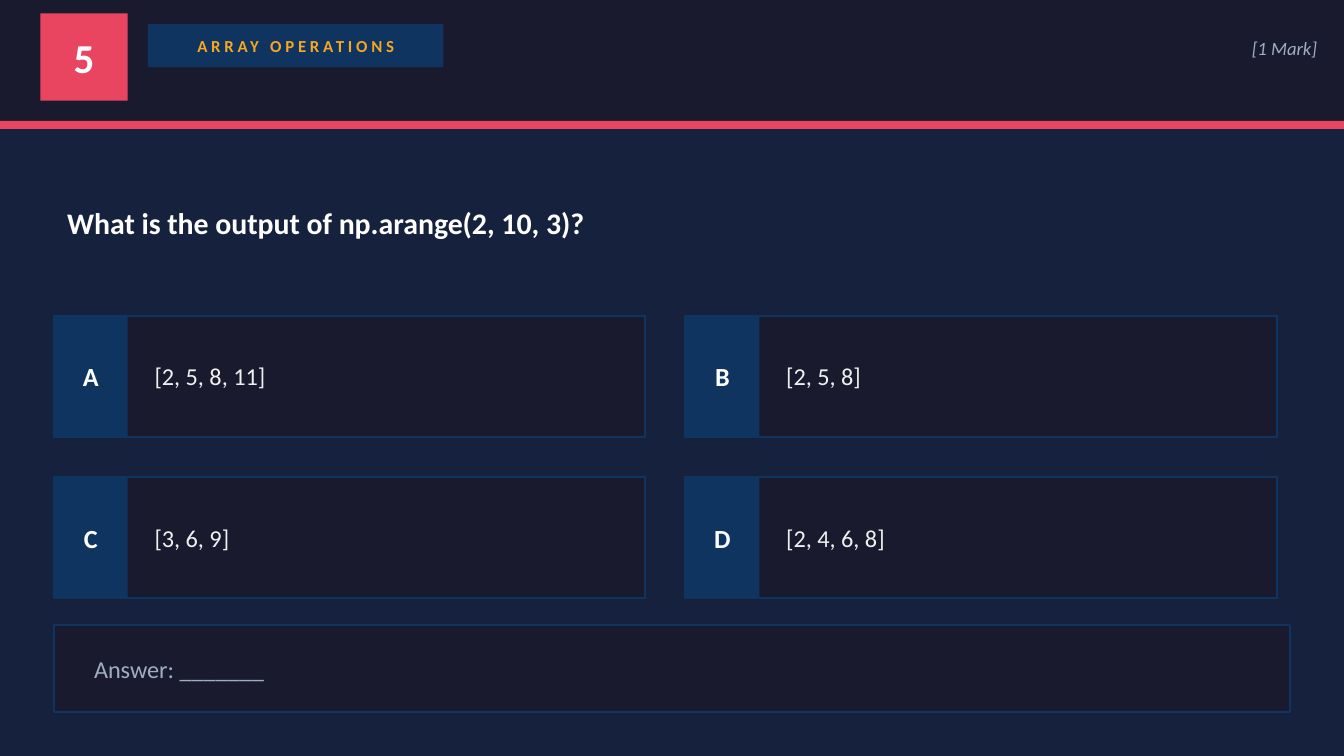
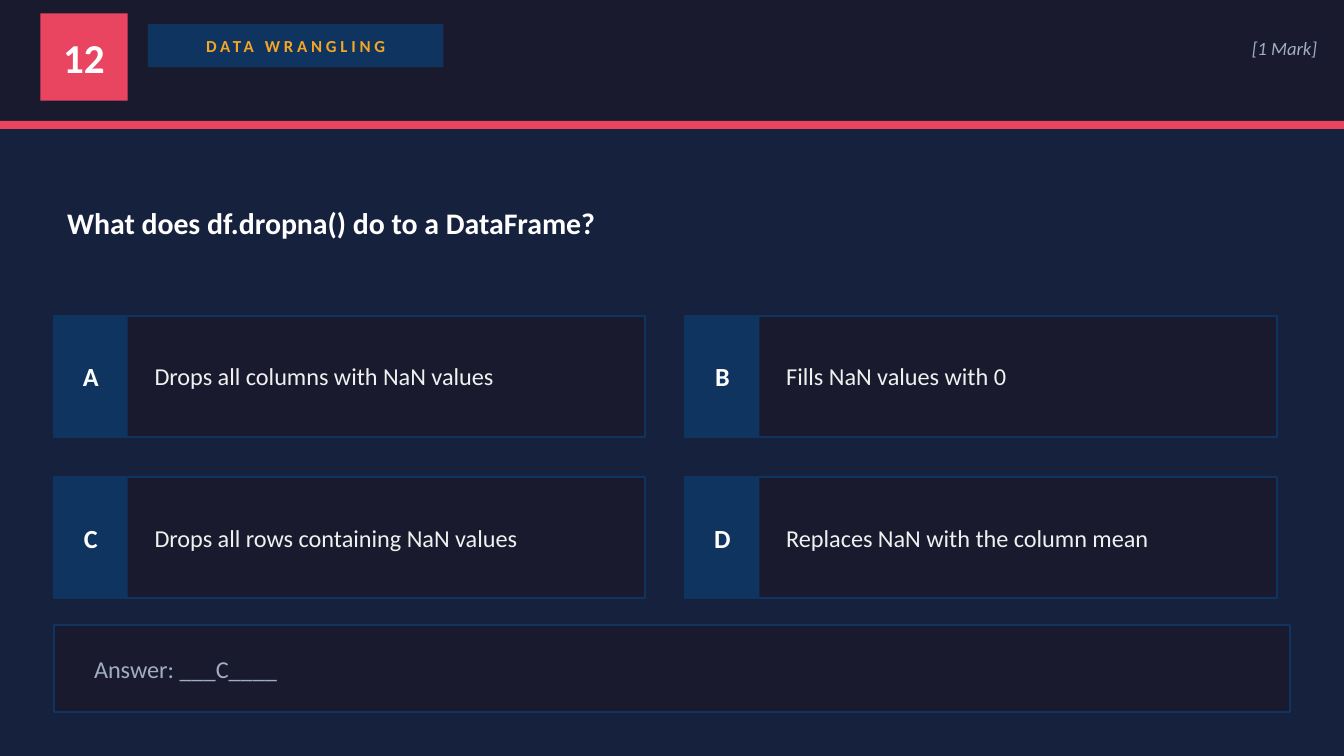
from dataclasses import dataclass

from pptx import Presentation, util as u
from pptx.dml.color import RGBColor
from pptx.enum import shapes, text


@dataclass(frozen=True)
class Style:
    size: int
    color: str
    rows: float  # height of the one-line text box
    bold: bool = False
    italic: bool = False
    align: text.PP_ALIGN = text.PP_ALIGN.LEFT
    spacing: int = 0  # hundredths of a point


class Theme:
    font = "Calibri"
    page, panel, accent, blue = "16213E", "1A1A2E", "E94560", "0F3460"
    white, soft, muted, gold = "FFFFFF", "F0F0F0", "A0AEC0", "F5A623"
    border = u.Pt(1)
    number = Style(22, white, 4.2, bold=True, align=text.PP_ALIGN.CENTER)
    topic = Style(9, gold, 2.3, bold=True, align=text.PP_ALIGN.CENTER, spacing=200)
    marks = Style(10, muted, 2.5, italic=True, align=text.PP_ALIGN.RIGHT)
    question = Style(16, white, 3.3, bold=True)
    letter = Style(14, white, 3.1, bold=True, align=text.PP_ALIGN.CENTER)
    option = Style(13, soft, 2.8)
    answer = Style(13, muted, 2.8)


# Square grid: 100 columns across the slide
WIDTH = u.Inches(10)
HEIGHT = WIDTH * 9 // 16
COLS = 100
MARGIN = 4
INSET = 0.5

# Option cards, two by two
CARD_TOP, CARD_W, CARD_H = 23.5, 44, 9
CARD_GAP = 3
LETTER_W = 5.5

QUESTIONS = [
    ("5", "ARRAY OPERATIONS", "What is the output of np.arange(2, 10, 3)?",
     ["[2, 5, 8, 11]", "[2, 5, 8]", "[3, 6, 9]", "[2, 4, 6, 8]"],
     "Answer: _______"),
    ("12", "DATA WRANGLING", "What does df.dropna() do to a DataFrame?",
     ["Drops all columns with NaN values", "Fills NaN values with 0",
      "Drops all rows containing NaN values", "Replaces NaN with the column mean"],
     "Answer: ___C____"),
]


def grid(*cells):
    return [u.Emu(round(c * WIDTH / COLS)) for c in cells]


def box(s, x, y, w, h, fill, line=None):
    sp = s.shapes.add_shape(shapes.MSO_SHAPE.RECTANGLE, *grid(x, y, w, h))
    sp.shadow.inherit = False
    sp.fill.solid()
    sp.fill.fore_color.rgb = RGBColor.from_string(fill)
    if line:
        sp.line.color.rgb = RGBColor.from_string(line)
        sp.line.width = Theme.border
    else:
        sp.line.fill.background()


def label(s, x, middle, w, words, style):
    """One line of text, centred vertically on the row `middle`."""
    sp = s.shapes.add_textbox(*grid(x, middle - style.rows / 2, w, style.rows))
    tf = sp.text_frame
    tf.word_wrap = True
    tf.auto_size = text.MSO_AUTO_SIZE.SHAPE_TO_FIT_TEXT
    tf.vertical_anchor = text.MSO_ANCHOR.MIDDLE
    pad, = grid(INSET)
    tf.margin_left = tf.margin_right = tf.margin_top = tf.margin_bottom = pad
    p = tf.paragraphs[0]
    p.alignment = style.align
    r = p.add_run()
    r.text = words
    r.font.name = Theme.font
    r.font.size = u.Pt(style.size)
    r.font.bold = style.bold
    r.font.italic = style.italic
    r.font.color.rgb = RGBColor.from_string(style.color)
    if style.spacing:
        r.font._element.set("spc", str(style.spacing))


def tag(s, x, y, w, h, fill, words, style):
    """A filled box with a centred label."""
    box(s, x, y, w, h, fill)
    label(s, x + INSET, y + h / 2, w - 2 * INSET, words, style)


def header(s, number, topic):
    box(s, 0, 0, COLS, 9, Theme.panel)
    box(s, 0, 9, COLS, 0.6, Theme.accent)
    tag(s, 3, 1, 6.5, 6.5, Theme.accent, number, Theme.number)
    tag(s, 11, 1.8, 22, 3.2, Theme.blue, topic, Theme.topic)
    label(s, 85.5, 3.55, 13, "[1 Mark]", Theme.marks)


def option_card(s, index, words):
    row, col = divmod(index, 2)
    x = MARGIN + col * (CARD_W + CARD_GAP)
    y = CARD_TOP + row * (CARD_H + CARD_GAP)
    box(s, x, y, CARD_W, CARD_H, Theme.panel, Theme.blue)
    tag(s, x, y, LETTER_W, CARD_H, Theme.blue, "ABCD"[index], Theme.letter)
    label(s, x + 7, y + CARD_H / 2, CARD_W - 9, words, Theme.option)


def answer_bar(s, words):
    y, h = 46.5, 6.5
    box(s, MARGIN, y, COLS - 2 * MARGIN, h, Theme.panel, Theme.blue)
    label(s, MARGIN + 2.5, y + h / 2, 39, words, Theme.answer)


def question_slide(prs, number, topic, question, options, answer):
    s = prs.slides.add_slide(prs.slide_layouts[6])
    s.background.fill.solid()
    s.background.fill.fore_color.rgb = RGBColor.from_string(Theme.page)
    header(s, number, topic)
    label(s, MARGIN + INSET, 16.55, COLS - 2 * (MARGIN + INSET), question, Theme.question)
    for index, words in enumerate(options):
        option_card(s, index, words)
    answer_bar(s, answer)


def main():
    prs = Presentation()
    prs.slide_width, prs.slide_height = WIDTH, HEIGHT
    for entry in QUESTIONS:
        question_slide(prs, *entry)
    prs.save("out.pptx")


if __name__ == "__main__":
    main()
